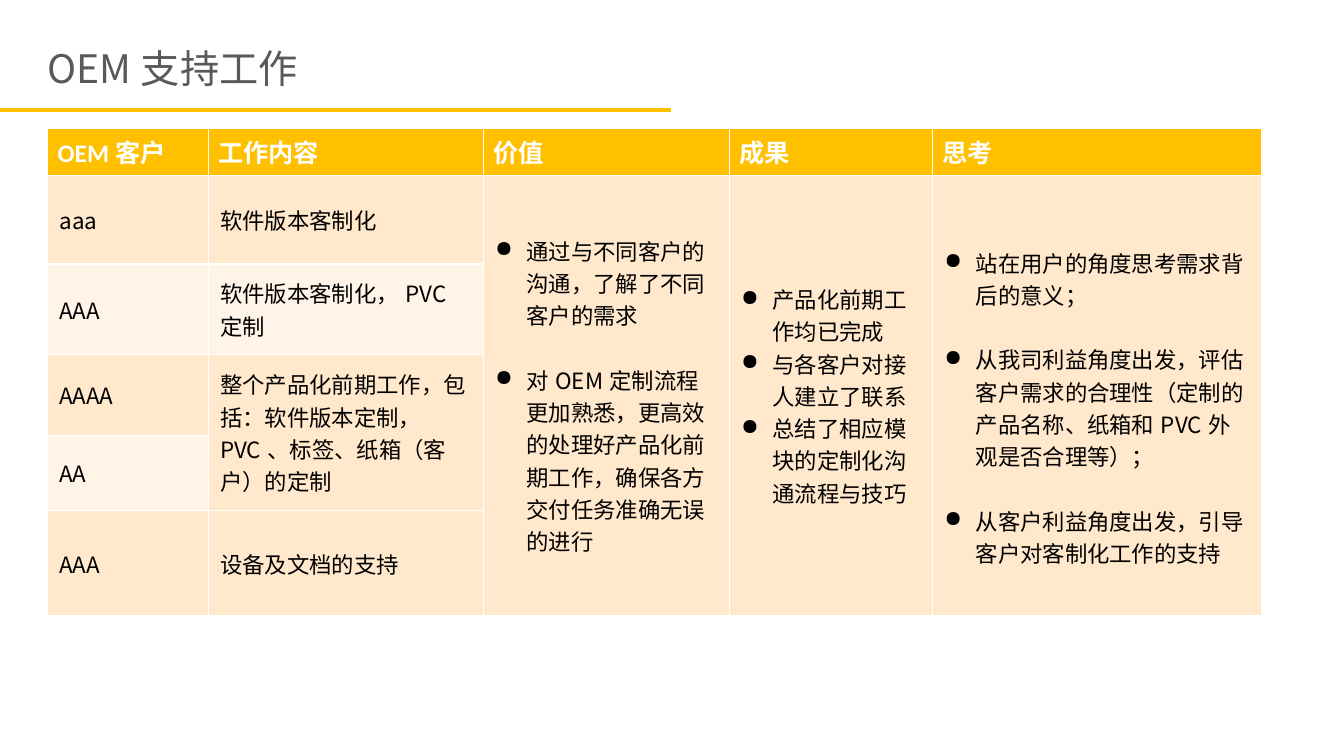
from lxml import etree
from pptx import Presentation
from pptx.dml.color import RGBColor
from pptx.enum.shapes import MSO_CONNECTOR
from pptx.enum.text import MSO_ANCHOR, MSO_AUTO_SIZE, PP_ALIGN
from pptx.oxml.ns import qn
from pptx.util import Cm, Pt

AMBER = RGBColor(0xFF, 0xC0, 0x00)
PEACH = RGBColor(0xFF, 0xE8, 0xCC)
CREAM = RGBColor(0xFF, 0xF4, 0xE7)
GREY = RGBColor(0x59, 0x59, 0x59)
WHITE = RGBColor(0xFF, 0xFF, 0xFF)
BLACK = RGBColor(0x00, 0x00, 0x00)
CJK_FONT = "Noto Sans CJK SC"

COLUMN_WIDTHS = [4.05, 6.93, 6.2, 5.12, 8.3]
ROW_HEIGHTS = [0.98, 2.24, 2.28, 2.05, 1.88, 2.66]
HEADINGS = ["OEM客户", "工作内容", "价值", "成果", "思考"]
CUSTOMERS = ["aaa", "AAA", "AAAA", "AA", "AAA"]
# First row, last row and wording of each piece of work
TASKS = [
    (1, 1, "软件版本客制化"),
    (2, 2, "软件版本客制化，PVC定制"),
    (3, 4, "整个产品化前期工作，包括：软件版本定制，PVC、标签、纸箱（客户）的定制"),
    (5, 5, "设备及文档的支持"),
]
# Column, gap between points, extra top margin and points
SUMMARIES = [
    (2, Pt(23), Cm(0), [
        "通过与不同客户的沟通，了解了不同客户的需求",
        "对OEM定制流程更加熟悉，更高效的处理好产品化前期工作，确保各方交付任务准确无误的进行",
    ]),
    (3, Pt(0), Cm(0), [
        "产品化前期工作均已完成",
        "与各客户对接人建立了联系",
        "总结了相应模块的定制化沟通流程与技巧",
    ]),
    (4, Pt(23), Cm(0.6), [
        "站在用户的角度思考需求背后的意义；",
        "从我司利益角度出发，评估客户需求的合理性（定制的产品名称、纸箱和PVC外观是否合理等）；",
        "从客户利益角度出发，引导客户对客制化工作的支持",
    ]),
]


def format_runs(text_frame, size, color, latin=CJK_FONT, bold=False):
    for paragraph in text_frame.paragraphs:
        for run in paragraph.runs:
            run.font.size = Pt(size)
            run.font.bold = bold
            run.font.color.rgb = color
            run.font.name = latin
            east_asian = etree.SubElement(run.font._element, qn("a:ea"))
            east_asian.set("typeface", CJK_FONT)


def add_bullet(paragraph):
    properties = paragraph._p.get_or_add_pPr()
    properties.set("marL", str(Cm(0.79)))
    properties.set("indent", str(-Cm(0.79)))
    bullet = etree.SubElement(properties, qn("a:buChar"))
    bullet.set("char", "●")


def fill_body_cell(cell, text, color):
    cell.text_frame.text = text
    cell.vertical_anchor = MSO_ANCHOR.MIDDLE
    cell.margin_left = Cm(0.3)
    format_runs(cell.text_frame, 16, BLACK)
    cell.fill.solid()
    cell.fill.fore_color.rgb = color


def add_heading(slide, left, top, width, height):
    title = slide.shapes.title
    title.left, title.top, title.width, title.height = left, top, width, height
    frame = title.text_frame
    frame.text = "OEM支持工作"
    frame.margin_left = frame.margin_right = 0
    frame.margin_top = frame.margin_bottom = 0
    frame.vertical_anchor = MSO_ANCHOR.MIDDLE
    frame.auto_size = MSO_AUTO_SIZE.NONE
    frame.paragraphs[0].alignment = PP_ALIGN.LEFT
    format_runs(frame, 28, GREY)


def add_rule(slide, left, top, width):
    rule = slide.shapes.add_connector(
        MSO_CONNECTOR.STRAIGHT, left, top, left + width, top)
    rule.line.color.rgb = AMBER
    rule.line.width = Pt(3)
    etree.SubElement(rule._element.spPr, qn("a:effectLst"))


def add_work_table(slide, left, top, width, height):
    table = slide.shapes.add_table(
        len(ROW_HEIGHTS), len(COLUMN_WIDTHS), left, top, width, height).table
    for column, share in zip(table.columns, COLUMN_WIDTHS):
        column.width = int(width * share / sum(COLUMN_WIDTHS))
    for row, share in zip(table.rows, ROW_HEIGHTS):
        row.height = int(height * share / sum(ROW_HEIGHTS))

    for index, heading in enumerate(HEADINGS):
        cell = table.cell(0, index)
        cell.text_frame.text = heading
        format_runs(cell.text_frame, 18, WHITE, "Calibri", bold=True)
        cell.fill.solid()
        cell.fill.fore_color.rgb = AMBER

    def band(row):
        return PEACH if row % 2 else CREAM

    for row, customer in enumerate(CUSTOMERS, start=1):
        fill_body_cell(table.cell(row, 0), customer, band(row))
    for first, last, task in TASKS:
        cell = table.cell(first, 1)
        if last > first:
            cell.merge(table.cell(last, 1))
        fill_body_cell(cell, task, band(first))
    for column, gap, extra_top, points in SUMMARIES:
        cell = table.cell(1, column)
        cell.merge(table.cell(len(CUSTOMERS), column))
        fill_body_cell(cell, "\n".join(points), PEACH)
        cell.margin_top = Cm(0.13) + extra_top
        for index, paragraph in enumerate(cell.text_frame.paragraphs):
            if index:
                paragraph.space_before = gap
            add_bullet(paragraph)


def main():
    presentation = Presentation()
    presentation.slide_width = Cm(33.87)
    presentation.slide_height = Cm(19.05)
    slide = presentation.slides.add_slide(presentation.slide_layouts[5])
    add_heading(slide, Cm(1.2), Cm(1.12), Cm(9.55), Cm(1.2))
    add_rule(slide, Cm(-0.05), Cm(2.77), Cm(16.97))
    add_work_table(slide, Cm(1.2), Cm(3.24), Cm(30.6), Cm(12.09))
    presentation.save("out.pptx")


if __name__ == "__main__":
    main()
